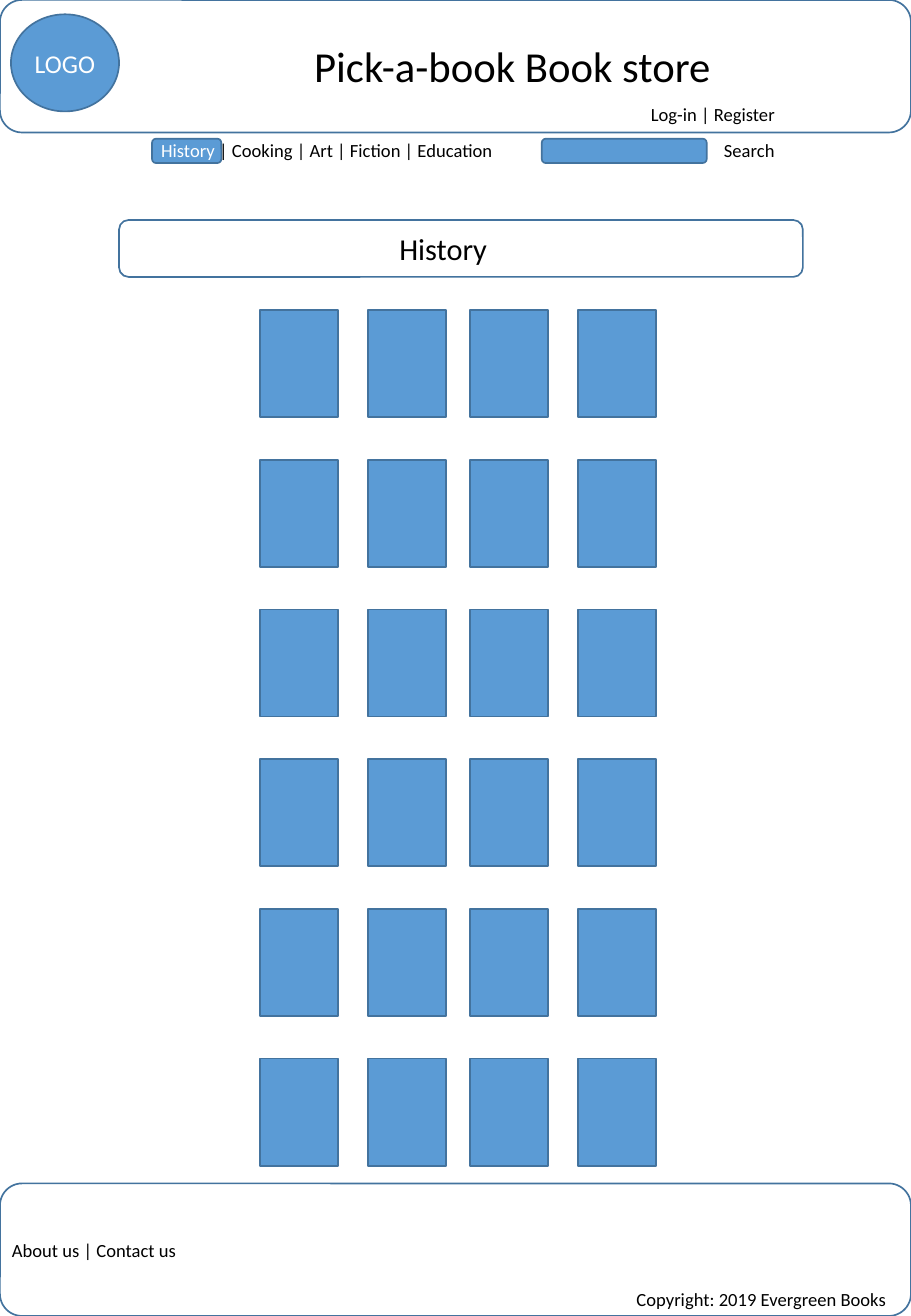
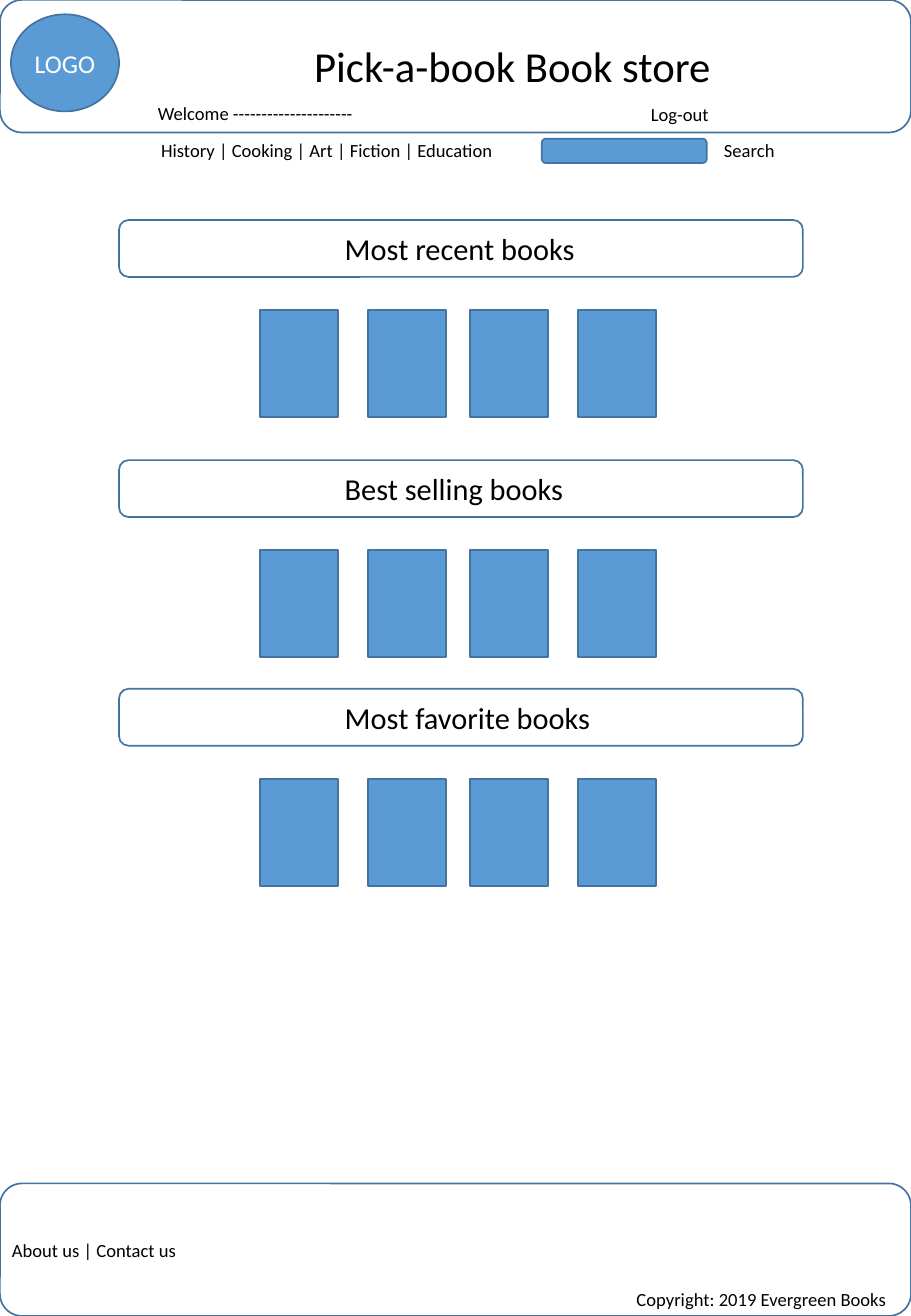
import pptx
import pptx.util
from pptx.dml.color import RGBColor
from pptx.enum.shapes import MSO_SHAPE
from pptx.enum.text import MSO_ANCHOR, MSO_AUTO_SIZE, PP_ALIGN

Cm = pptx.util.Cm
Pt = pptx.util.Pt

BLUE = RGBColor(0x5B, 0x9B, 0xD5)
OUTLINE = RGBColor(0x43, 0x73, 0x9E)
BLACK = RGBColor(0x00, 0x00, 0x00)
WHITE = RGBColor(0xFF, 0xFF, 0xFF)
FONT = "Calibri"

PAGE_WIDTH, PAGE_HEIGHT = 19.05, 27.51
BAND_HEIGHT = 2.77
BOOK_LEFTS = (5.44, 7.70, 9.83, 12.09)
BOOK_WIDTH, BOOK_HEIGHT = 1.63, 2.24
BANNER_TO_BOOKS = 1.88
FIRST_BANNER_TOP = 4.60
SHELF_PITCH = 3.13
SHELF_COUNT = 6
LINK_SIZE, BANNER_SIZE, TITLE_SIZE = 11, 18, 25.3
OTHER_CATEGORIES = " | Cooking | Art | Fiction | Education"


def add_box(slide, kind, left, top, width, height, fill=None):
    shape = slide.shapes.add_shape(kind, Cm(left), Cm(top), Cm(width), Cm(height))
    shape.shadow.inherit = False
    if fill is None:
        shape.fill.background()
    else:
        shape.fill.solid()
        shape.fill.fore_color.rgb = fill
    shape.line.color.rgb = OUTLINE
    shape.line.width = Pt(1)
    return shape


def style_paragraph(paragraph, size, color):
    paragraph.font.name = FONT
    paragraph.font.size = Pt(size)
    paragraph.font.color.rgb = color


def add_label(slide, text, left, top, width, height=0.74, size=LINK_SIZE):
    box = slide.shapes.add_textbox(Cm(left), Cm(top), Cm(width), Cm(height))
    frame = box.text_frame
    frame.word_wrap = False
    frame.auto_size = MSO_AUTO_SIZE.SHAPE_TO_FIT_TEXT
    paragraph = frame.paragraphs[0]
    paragraph.add_run().text = text
    style_paragraph(paragraph, size, BLACK)
    return paragraph


def add_logo_disc(slide):
    disc = add_box(slide, MSO_SHAPE.OVAL, 0.23, 0.30, 2.26, 2.03, BLUE)
    frame = disc.text_frame
    frame.margin_left = frame.margin_right = Cm(0.1)
    frame.margin_top = frame.margin_bottom = Cm(0.05)
    frame.vertical_anchor = MSO_ANCHOR.MIDDLE
    paragraph = frame.paragraphs[0]
    paragraph.text = "LOGO"
    paragraph.alignment = PP_ALIGN.CENTER
    style_paragraph(paragraph, 15.2, WHITE)


def add_navigation(slide, history_selected):
    if history_selected:
        add_box(slide, MSO_SHAPE.ROUNDED_RECTANGLE, 3.18, 2.90, 1.45, 0.51, BLUE)
    paragraph = add_label(slide, "History", 3.12, 2.77, 7.82)
    paragraph.add_run().text = OTHER_CATEGORIES
    if history_selected:
        for run, color in zip(paragraph.runs, (WHITE, BLACK)):
            run.font.color.rgb = color
    add_box(slide, MSO_SHAPE.ROUNDED_RECTANGLE, 11.33, 2.90, 3.45, 0.51, BLUE)
    add_label(slide, "Search", 14.89, 2.79, 1.6)


def add_page(presentation, account_text, account_width, history_selected=False):
    slide = presentation.slides.add_slide(presentation.slide_layouts[6])
    for band_top in (0, PAGE_HEIGHT - BAND_HEIGHT):
        add_box(slide, MSO_SHAPE.ROUNDED_RECTANGLE, 0, band_top, PAGE_WIDTH, BAND_HEIGHT)
    add_logo_disc(slide)
    add_label(slide, "Pick-a-book Book store", 6.32, 0.71, 8.92, 1.35, TITLE_SIZE)
    add_label(slide, account_text, 13.36, 2.03, account_width)
    add_navigation(slide, history_selected)
    add_label(slide, "About us | Contact us", 0, 25.78, 3.96)
    add_label(slide, "Copyright: 2019 Evergreen Books", 13.06, 26.80, 5.79)
    return slide


def add_banner(slide, text, top, text_left, text_width):
    add_box(slide, MSO_SHAPE.ROUNDED_RECTANGLE, 2.49, top, 14.30, 1.19)
    add_label(slide, text, text_left, top + 0.09, text_width, 1.02, BANNER_SIZE)


def add_shelf(slide, top):
    for left in BOOK_LEFTS:
        add_box(slide, MSO_SHAPE.RECTANGLE, left, top, BOOK_WIDTH, BOOK_HEIGHT, BLUE)


def add_category_page(presentation):
    slide = add_page(presentation, "Log-in | Register", 3.12, history_selected=True)
    add_banner(slide, "History", FIRST_BANNER_TOP, 8.10, 2.36)
    for row in range(SHELF_COUNT):
        add_shelf(slide, FIRST_BANNER_TOP + BANNER_TO_BOOKS + row * SHELF_PITCH)


def add_welcome_page(presentation):
    slide = add_page(presentation, "Log-out", 1.80)
    add_label(slide, "Welcome ---------------------", 3.05, 2.01, 4.65)
    sections = (
        ("Most recent books", FIRST_BANNER_TOP, 5.36),
        ("Best selling books", 9.62, 5.13),
        ("Most favorite books", 14.40, 5.69),
    )
    for text, top, text_width in sections:
        add_banner(slide, text, top, 6.96, text_width)
        add_shelf(slide, top + BANNER_TO_BOOKS)


def main():
    presentation = pptx.Presentation()
    presentation.slide_width = Cm(PAGE_WIDTH)
    presentation.slide_height = Cm(PAGE_HEIGHT)
    add_category_page(presentation)
    add_welcome_page(presentation)
    presentation.save("out.pptx")


if __name__ == "__main__":
    main()
